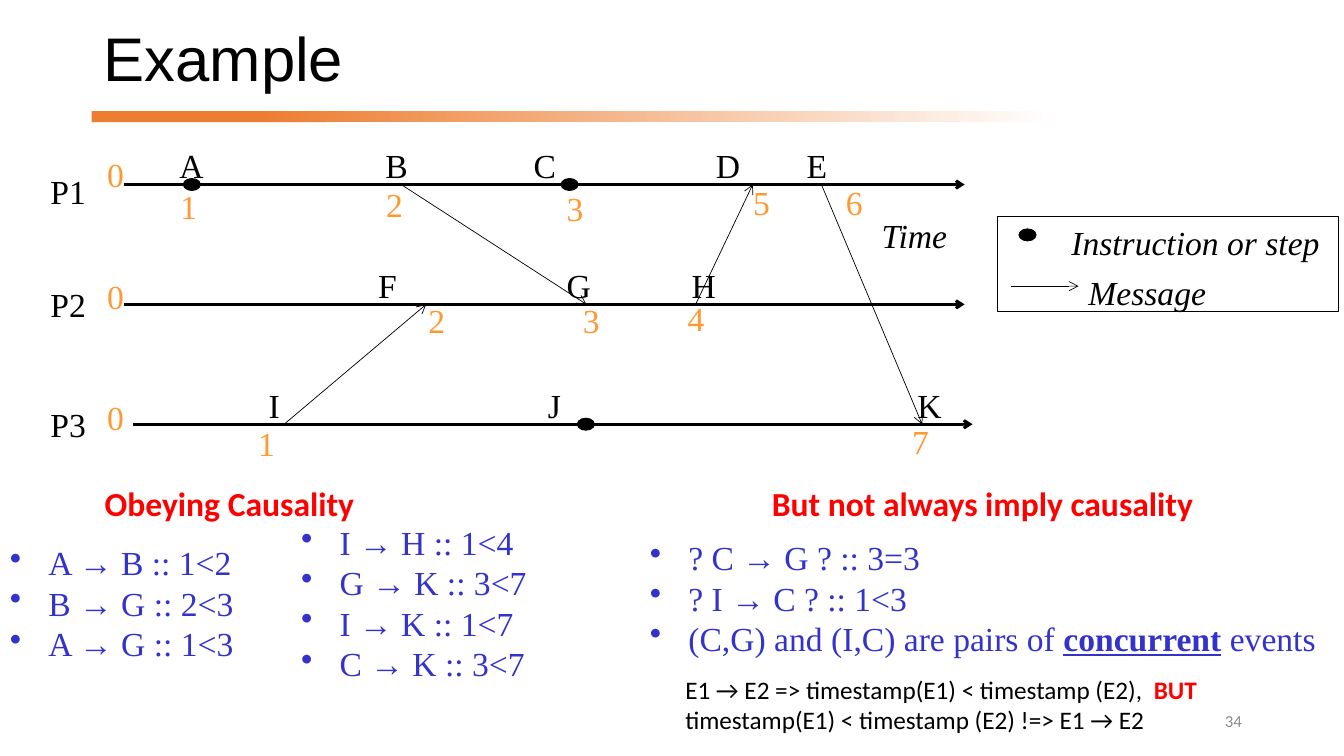
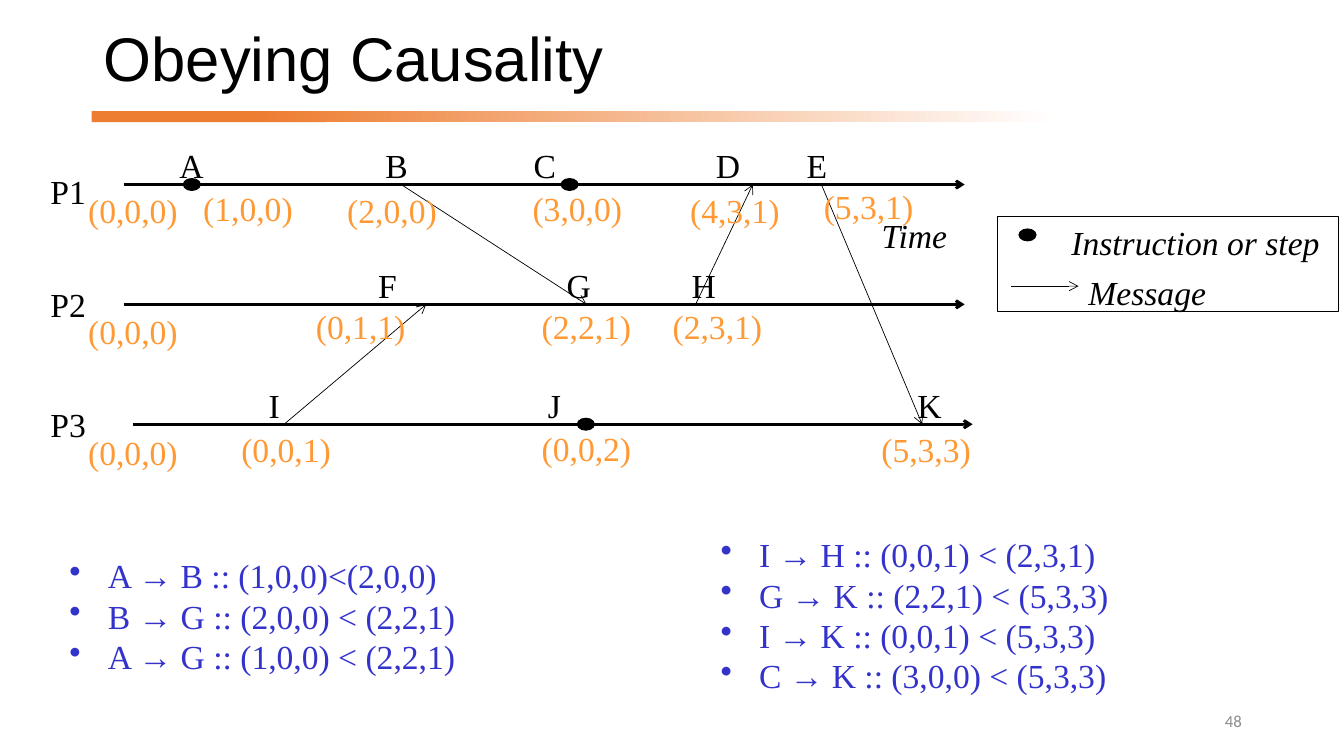
"""Builds two slides on logical and vector timestamps of events in three processes."""
import pptx
import pptx.dml.color
import pptx.enum.dml
import pptx.enum.shapes
import pptx.enum.text
import pptx.oxml
import pptx.oxml.ns
import pptx.util

Cm, Pt = pptx.util.Cm, pptx.util.Pt
ALIGN, ANCHOR = pptx.enum.text.PP_ALIGN, pptx.enum.text.MSO_ANCHOR
SHAPE = pptx.enum.shapes.MSO_SHAPE
BLACK, WHITE, ORANGE, GREY = "000000", "FFFFFF", "ED7D31", "8C8C8C"
STAMP, RELATION, RED = "FF9933", "3333CC", "FF0000"
SERIF, SANS, HEADING = "Times New Roman", "Calibri", "Arial"

FIRST_AXIS, AXIS_GAP = 4.65, 3.02
PROCESSES = [("P1", 4.17, 3.12, 24.31), ("P2", 7.04, 3.12, 24.31), ("P3", 10.06, 3.35, 24.51)]
EVENT_LABELS = [
    [("A", 4.74), ("B", 9.93), ("C", 13.67), ("D", 18.26), ("E", 20.55)],
    [("F", 9.75), ("G", 14.5), ("H", 17.65)],
    [("I", 6.91), ("J", 13.97), ("K", 23.34)],
]
STEPS = [(4.84, 0), (14.36, 0), (14.77, 2)]
MESSAGES = [
    ((10.11, 0), (14.78, 1)),
    ((7.16, 2), (10.74, 1)),
    ((17.53, 1), (18.97, 0)),
    ((20.7, 0), (23.24, 2)),
]

SLIDES = [
    {
        "title": "Example",
        "number": "34",
        "start": ("0", 2.91, 3.76),
        "stamps": [
            ("1", 4.76, 4.55), ("2", 9.94, 4.52), ("3", 14.49, 4.6), ("5", 19.19, 4.45),
            ("6", 21.53, 4.45), ("2", 11.01, 7.44), ("3", 14.9, 7.44), ("4", 17.54, 7.39),
            ("1", 6.72, 10.52), ("7", 23.2, 10.49),
        ],
        "headings": [
            ("Obeying Causality", (2.39, 12.04, 7.06, 1.27)),
            ("But not always imply causality", (19.2, 12.04, 11.25, 1.27)),
        ],
        "relations": [
            ((0, 13.54, 9.27, 3.33), [["A → B :: 1<2"], ["B → G :: 2<3"], ["A → G :: 1<3"]]),
            ((7.34, 13.03, 9.53, 4.37),
             [["I → H :: 1<4"], ["G → K :: 3<7"], ["I → K :: 1<7"], ["C → K :: 3<7"]]),
            ((16.13, 13.41, 17.7, 3.33),
             [["? C → G ? :: 3=3"], ["? I → C ? :: 1<3"],
              ["(C,G) and (I,C) are pairs of ",
               ("concurrent", {"bold": True, "underline": True}), " events"]]),
        ],
        "notes": [
            ((17.02, 16.87, 14.4, 1.8),
             [["E1 → E2 => timestamp(E1) < timestamp (E2),  ",
               ("BUT", {"color": RED, "bold": True}),
               " timestamp(E1) < timestamp (E2) !=> E1 → E2"]]),
        ],
    },
    {
        "title": "Obeying Causality",
        "number": "48",
        "start": ("(0,0,0)", 3.35, 4.65),
        "stamps": [
            ("(1,0,0)", 6.25, 4.62), ("(2,0,0)", 9.88, 4.65), ("(3,0,0)", 14.55, 4.62),
            ("(4,3,1)", 18.52, 4.65), ("(5,3,1)", 21.89, 4.57), ("(0,1,1)", 9.09, 7.59),
            ("(2,2,1)", 14.78, 7.59), ("(2,3,1)", 18.08, 7.59), ("(0,0,1)", 7.21, 10.69),
            ("(0,0,2)", 14.78, 10.67), ("(5,3,3)", 23.34, 10.69),
        ],
        "headings": [],
        "relations": [
            ((1.5, 13.87, 11.89, 3.33),
             [["A → B :: (1,0,0)<(2,0,0)"], ["B → G :: (2,0,0) < (2,2,1)"],
              ["A → G :: (1,0,0) < (2,2,1)"]]),
            ((17.91, 13.34, 12.98, 4.37),
             [["I → H :: (0,0,1) < (2,3,1)"], ["G → K :: (2,2,1) < (5,3,3)"],
              ["I → K :: (0,0,1) < (5,3,3)"], ["C → K :: (3,0,0) < (5,3,3)"]]),
        ],
        "notes": [],
    },
]


def rgb(code):
    """Turn a hex string into a colour."""
    return pptx.dml.color.RGBColor.from_string(code)


def axis_y(row):
    """Return the height of a process line."""
    return FIRST_AXIS + row * AXIS_GAP


def add_run(paragraph, words, font=SERIF, size=24, color=BLACK, **styles):
    """Add one formatted run."""
    run = paragraph.add_run()
    run.text = words
    run.font.name, run.font.size = font, Pt(size)
    run.font.color.rgb = rgb(color)
    for style, value in styles.items():
        setattr(run.font, style, value)


def add_text(slide, box, paragraphs, align=ALIGN.LEFT, anchor=ANCHOR.TOP,
             wrap=False, bullets=False, **styles):
    """Add a text box whose paragraphs are lists of runs."""
    frame = slide.shapes.add_textbox(*map(Cm, box)).text_frame
    frame.word_wrap, frame.vertical_anchor = wrap, anchor
    for index, runs in enumerate(paragraphs):
        paragraph = frame.paragraphs[0] if index == 0 else frame.add_paragraph()
        paragraph.alignment = align
        if bullets:
            properties = paragraph._p.get_or_add_pPr()
            properties.set("marL", str(Cm(0.97)))
            properties.set("indent", str(-Cm(0.97)))
            pptx.oxml.ns.qn("a:buChar")
            properties.append(pptx.oxml.parse_xml(
                f'<a:buChar {pptx.oxml.ns.nsdecls("a")} char="•"/>'))
        for run in runs:
            words, changes = (run, {}) if isinstance(run, str) else run
            add_run(paragraph, words, **{**styles, **changes})


def add_label(slide, words, center, top, color=BLACK):
    """Centre a short label on a point."""
    width = 0.63 + 0.31 * len(words)
    add_text(slide, (center - width / 2, top, width, 1.27), [[words]],
             align=ALIGN.CENTER, color=color)


def add_arrow(slide, start, end, weight):
    """Draw a black arrow."""
    arrow = slide.shapes.add_connector(
        pptx.enum.shapes.MSO_CONNECTOR.STRAIGHT, *map(Cm, start + end))
    arrow.line.color.rgb, arrow.line.width = rgb(BLACK), Pt(weight)
    namespace = pptx.oxml.ns.nsdecls("a")
    arrow.line._get_or_add_ln().append(
        pptx.oxml.parse_xml(f'<a:tailEnd {namespace} type="arrow"/>'))
    arrow._element.spPr.append(pptx.oxml.parse_xml(f"<a:effectLst {namespace}/>"))


def add_figure(slide, kind, box, fill=None, outline=None):
    """Draw a preset shape with an optional fill and outline."""
    figure = slide.shapes.add_shape(kind, *map(Cm, box))
    figure.shadow.inherit = False
    if fill:
        figure.fill.solid()
        figure.fill.fore_color.rgb = rgb(fill)
    else:
        figure.fill.background()
    if outline:
        figure.line.color.rgb, figure.line.width = rgb(outline), Pt(0.75)
    else:
        figure.line.fill.background()
    return figure


def add_step(slide, center, middle):
    """Mark an instruction with a dot."""
    add_figure(slide, SHAPE.OVAL, (center - 0.22, middle - 0.15, 0.43, 0.3), BLACK, BLACK)


def add_bands(slide, layout):
    """Place the bands under the title on the shared layout."""
    solid = add_figure(slide, SHAPE.RECTANGLE, (2.31, 2.8, 5.92, 0.28), ORANGE)
    fading = add_figure(slide, SHAPE.RECTANGLE, (6.53, 2.8, 20.12, 0.28))
    fading.fill.gradient()
    fading.fill.gradient_angle = 0
    for stop, color in zip(fading.fill.gradient_stops, (ORANGE, WHITE)):
        stop.color.rgb = rgb(color)
    for band in (solid, fading):
        layout.shapes.element.append(band.element)


def add_title(slide, words):
    """Fill and place the title."""
    title = slide.shapes.title
    title.left, title.top, title.width, title.height = map(Cm, (2.36, 0.43, 28.3, 2.26))
    frame = title.text_frame
    frame.auto_size = pptx.enum.text.MSO_AUTO_SIZE.NONE
    frame.vertical_anchor = ANCHOR.MIDDLE
    heading = frame.paragraphs[0]
    heading.alignment, heading.line_spacing = ALIGN.LEFT, 0.9
    add_run(heading, words, HEADING, 44)


def add_timeline(slide):
    """Draw the processes, events, messages and legend."""
    for row, (process, top, start, end) in enumerate(PROCESSES):
        add_arrow(slide, (start, axis_y(row)), (end, axis_y(row)), 2)
        add_text(slide, (1.02, top, 1.42, 1.27), [[process]])
        for event, center in EVENT_LABELS[row]:
            add_label(slide, event, center, axis_y(row) - 1.12)
    for (sent, sender), (received, receiver) in MESSAGES:
        add_arrow(slide, (sent, axis_y(sender)), (received, axis_y(receiver)), 0.5)
    for center, row in STEPS:
        add_step(slide, center, axis_y(row))
    add_text(slide, (21.97, 5.28, 2.18, 1.27), [["Time"]], italic=True)
    add_figure(slide, SHAPE.RECTANGLE, (25.15, 5.46, 8.59, 2.39), outline=BLACK)
    add_step(slide, 25.9, 5.92)
    add_text(slide, (26.75, 5.46, 6.83, 1.27), [["Instruction or step"]], italic=True)
    add_arrow(slide, (25.48, 7.21), (27.18, 7.21), 0.5)
    add_text(slide, (27.18, 6.73, 3.5, 1.27), [["Message"]], italic=True)


def add_content(slide, content):
    """Add the timestamps, relations and notes of one slide."""
    initial, center, top = content["start"]
    for row in range(len(PROCESSES)):
        add_label(slide, initial, center, top + row * 3.06, STAMP)
    for words, center, top in content["stamps"]:
        add_label(slide, words, center, top, STAMP)
    for words, box in content["headings"]:
        add_text(slide, box, [[words]], font=SANS, color=RED, bold=True)
    for box, relations in content["relations"]:
        add_text(slide, box, relations, wrap=True, bullets=True, color=RELATION)
    for box, note in content["notes"]:
        add_text(slide, box, note, wrap=True, font=SANS, size=18)
    add_text(slide, (23.93, 17.65, 7.62, 1.02), [[content["number"]]], align=ALIGN.RIGHT,
             anchor=ANCHOR.MIDDLE, wrap=True, font=SANS, size=12, color=GREY)


deck = pptx.Presentation()
deck.slide_width, deck.slide_height = Cm(33.87), Cm(19.05)
title_only = deck.slide_layouts[5]
for position, content in enumerate(SLIDES):
    slide = deck.slides.add_slide(title_only)
    if position == 0:
        add_bands(slide, title_only)
    add_title(slide, content["title"])
    add_timeline(slide)
    add_content(slide, content)
deck.save("out.pptx")
